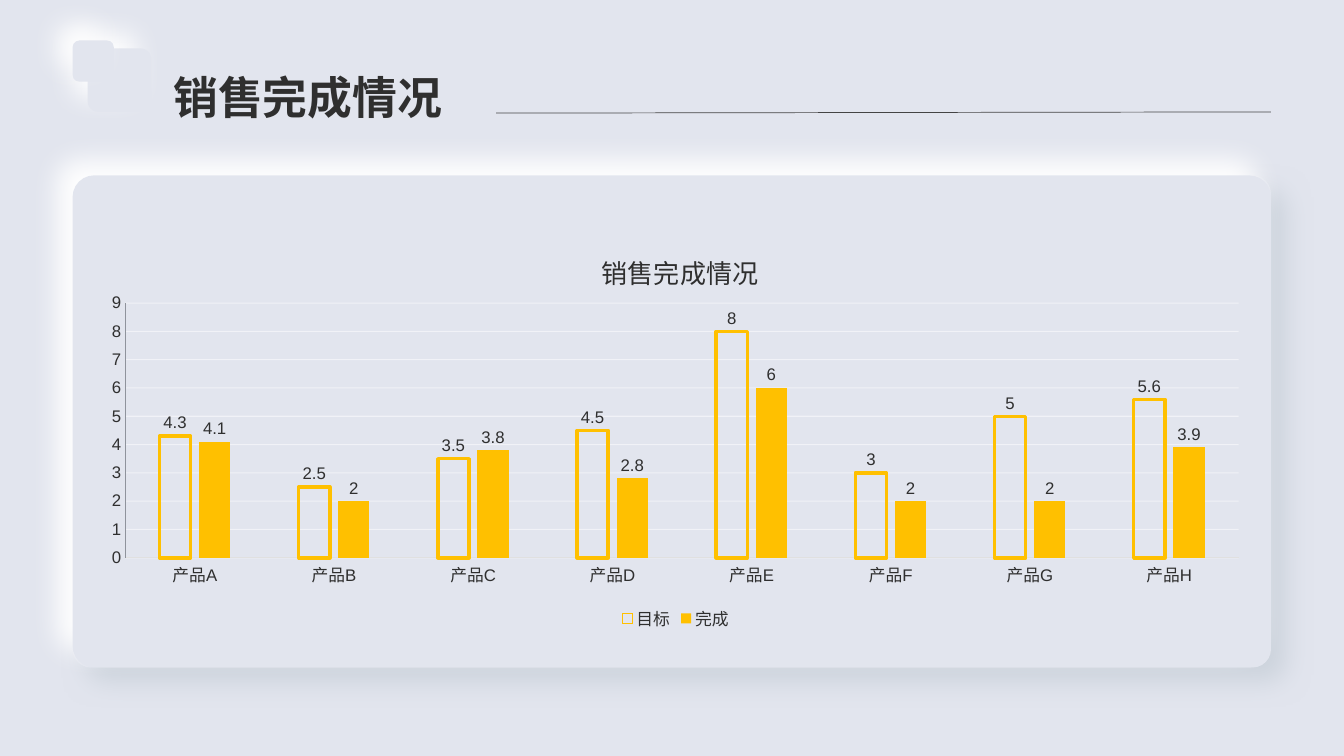
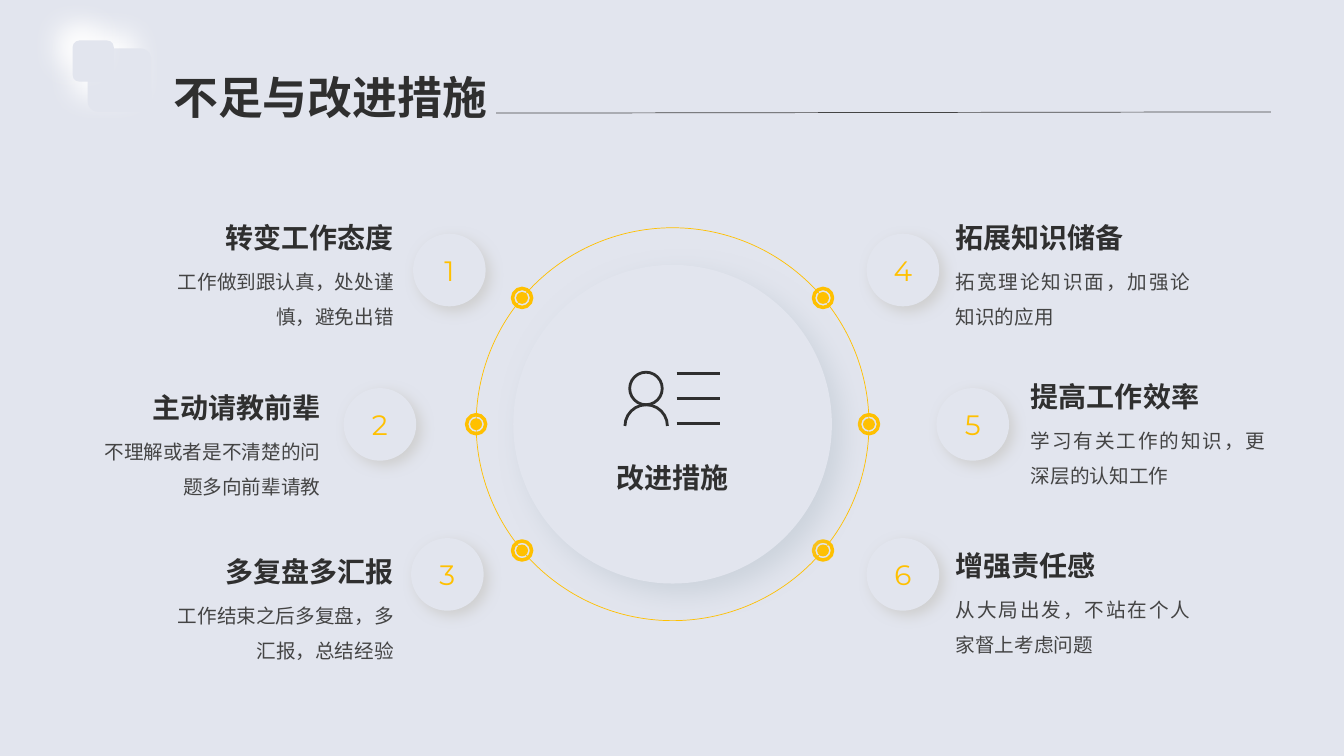
from dataclasses import dataclass
from math import cos, radians, sin

from lxml.etree import SubElement
from pptx import Presentation
from pptx.chart.data import CategoryChartData
from pptx.dml.color import RGBColor
from pptx.enum.chart import XL_CHART_TYPE, XL_LABEL_POSITION, XL_LEGEND_POSITION, XL_TICK_MARK
from pptx.enum.shapes import MSO_CONNECTOR, MSO_SHAPE
from pptx.enum.text import MSO_ANCHOR, PP_ALIGN
from pptx.oxml.ns import qn
from pptx.util import Cm, Pt


@dataclass(frozen=True)
class Theme:
    """Colours, fonts and type sizes of the deck."""

    back: str = "E2E5EE"
    dark: str = "2F2F2F"
    grey: str = "444444"
    gold: str = "FFC000"
    light: str = "FFFFFF"
    shade: str = "CCD3DC"
    dim: str = "D0D0D0"
    axis: str = "8F939C"
    base: str = "E0E0E0"
    hans: str = "Noto Sans CJK SC"
    digit: str = "Montserrat"
    plain: str = "Arial"
    title: float = 32
    head: float = 20
    body: float = 14
    label: float = 12
    chart: float = 18.6


T = Theme()
GOALS = {
    "目标": (4.3, 2.5, 3.5, 4.5, 8, 3, 5, 5.6),
    "完成": (4.1, 2, 3.8, 2.8, 6, 2, 2, 3.9),
}
STEPS = (
    ("转变工作态度", "工作做到跟认真，处处谨慎，避免出错", (10.41, 5.89), (4.01, 5.13)),
    ("主动请教前辈", "不理解或者是不清楚的问题多向前辈请教", (8.66, 9.78), (2.16, 9.42)),
    ("多复盘多汇报", "工作结束之后多复盘，多汇报，总结经验", (10.36, 13.56), (4.01, 13.54)),
    ("拓展知识储备", "拓宽理论知识面，加强论知识的应用", (21.84, 5.89), (24.08, 5.13)),
    ("提高工作效率", "学习有关工作的知识，更深层的认知工作", (23.6, 9.78), (25.98, 9.14)),
    ("增强责任感", "从大局出发，不站在个人家督上考虑问题", (21.84, 13.56), (24.08, 13.39)),
)


def rgb(code):
    """Turn a hex code into a colour."""
    return RGBColor.from_string(code)


def style(font, name, size, color, bold=False):
    """Set the face, size and colour of a font."""
    font.name, font.size, font.bold = name, Pt(size), bold
    font.color.rgb = rgb(color)


def cast(shape, color, blur, dist, angle):
    """Give a shape a soft outer shadow."""
    glow = SubElement(
        shape._element.spPr.find(qn("a:effectLst")), qn("a:outerShdw"),
        blurRad=str(Pt(blur)), dist=str(Pt(dist)), dir=str(angle * 60000),
        algn="ctr", rotWithShape="0")
    SubElement(glow, qn("a:srgbClr"), val=color)


def form(slide, kind, box, fill=None, line=None, width=1, glow=None):
    """Draw one preset shape in a box given in centimetres."""
    shape = slide.shapes.add_shape(kind, *map(Cm, box))
    shape.shadow.inherit = False
    if fill:
        shape.fill.solid()
        shape.fill.fore_color.rgb = rgb(fill)
    else:
        shape.fill.background()
    if line:
        shape.line.color.rgb = rgb(line)
        shape.line.width = Pt(width)
    else:
        shape.line.fill.background()
    if glow:
        cast(shape, *glow)
    return shape


def disc(slide, x, y, size, **look):
    """Draw a circle around a centre."""
    return form(slide, MSO_SHAPE.OVAL, (x - size / 2, y - size / 2, size, size), **look)


def rule(slide, ends, color, width):
    """Draw a straight line."""
    line = slide.shapes.add_connector(MSO_CONNECTOR.STRAIGHT, *map(Cm, ends))
    line.line.color.rgb = rgb(color)
    line.line.width = Pt(width)
    SubElement(line._element.spPr, qn("a:effectLst"))


def write(slide, box, text, size, pitch, color=T.dark, bold=True, align=PP_ALIGN.LEFT):
    """Place a paragraph in a box without insets."""
    frame = slide.shapes.add_textbox(*map(Cm, box)).text_frame
    frame.word_wrap = True
    frame.margin_left = frame.margin_right = frame.margin_top = frame.margin_bottom = 0
    para = frame.paragraphs[0]
    para.text, para.alignment, para.line_spacing = text, align, Pt(pitch)
    style(para.font, T.hans, size, color, bold)
    SubElement(para._p.pPr.find(qn("a:defRPr")), qn("a:ea"), typeface=T.hans)


def header(slide, text, x=1.83, y=1.02):
    """Draw the two tiles, the title and its rule."""
    for dx, dy, size in ((0.38, 0.2, 1.6), (0, 0, 1.04)):
        form(slide, MSO_SHAPE.ROUNDED_RECTANGLE, (x + dx, y + dy, size, size),
             T.back, glow=(T.light, 20, 15, 225))
    rule(slide, (x + 10.67, y + 1.83, x + 30.2, y + 1.8), T.grey, 0.5)
    write(slide, (x + 2.54, y + 0.81, 16.13, 1.27), text, T.title, 36)


def place(node, index, **spots):
    """Pin a chart part at fractions of the chart."""
    for old in node.findall(qn("c:layout")):
        node.remove(old)
    layout = node.makeelement(qn("c:layout"))
    node.insert(index, layout)
    manual = SubElement(layout, qn("c:manualLayout"))
    if "w" in spots and index == 0:
        SubElement(manual, qn("c:layoutTarget"), val="inner")
    for mode in ("xMode", "yMode"):
        SubElement(manual, qn("c:" + mode), val="edge")
    for name, value in spots.items():
        SubElement(manual, qn("c:" + name), val=str(value))


def axes(chart):
    """Style both axes and the grid."""
    for axis, color in ((chart.category_axis, T.base), (chart.value_axis, T.axis)):
        axis.major_tick_mark = axis.minor_tick_mark = XL_TICK_MARK.NONE
        style(axis.tick_labels.font, T.plain, T.label, T.dark)
        axis.format.line.color.rgb = rgb(color)
        axis.format.line.width = Pt(0.75)
    axis.minimum_scale, axis.maximum_scale, axis.major_unit = 0, 9, 1
    axis.has_major_gridlines = True
    grid = axis.major_gridlines.format.line
    grid.color.rgb = rgb(T.light)
    grid.width = Pt(0.75)
    tint = axis.major_gridlines._xAx.find(qn("c:majorGridlines")).find(".//" + qn("a:srgbClr"))
    SubElement(tint, qn("a:alpha"), val="53000")


def bars(chart):
    """Style the outlined and the filled columns."""
    plot = chart.plots[0]
    plot.gap_width, plot.overlap, plot.vary_by_categories = 219, -27, False
    goal, done = plot.series
    goal.format.fill.background()
    goal.format.line.color.rgb = rgb(T.gold)
    goal.format.line.width = Pt(2.5)
    done.format.fill.solid()
    done.format.fill.fore_color.rgb = rgb(T.gold)
    for series in (goal, done):
        series.invert_if_negative = False
        labels = series.data_labels
        labels.show_value = True
        labels.position = XL_LABEL_POSITION.OUTSIDE_END
        style(labels.font, T.plain, T.label, T.dark)


def graph(slide, box, title):
    """Add the column chart of targets and results."""
    data = CategoryChartData()
    data.categories = ["产品" + mark for mark in "ABCDEFGH"]
    for name, values in GOALS.items():
        data.add_series(name, values)
    chart = slide.shapes.add_chart(XL_CHART_TYPE.COLUMN_CLUSTERED, *map(Cm, box), data).chart
    style(chart.font, T.plain, T.label, T.dark)
    axes(chart)
    bars(chart)
    chart.has_title = True
    para = chart.chart_title.text_frame.paragraphs[0]
    para.text = title
    style(para.font, T.plain, T.chart, T.dark)
    chart.has_legend = True
    chart.legend.position = XL_LEGEND_POSITION.BOTTOM
    chart.legend.include_in_layout = False
    style(chart.legend.font, T.plain, T.label, T.dark)
    place(chart._chartSpace.chart.plotArea, 0, x=0.031, y=0.2, w=0.949, h=0.612)
    place(chart.chart_title._element, 1, x=0.433, y=0.06)
    place(chart.legend._element, 1, x=0.45, y=0.93)


def sales(slide, title):
    """Build the slide with the chart panel."""
    header(slide, title)
    x, y, w, h = 1.83, 4.42, 30.2, 12.4
    for bend, color, angle in ((0.037, T.shade, 45), (0.044, T.light, 225)):
        panel = form(slide, MSO_SHAPE.ROUNDED_RECTANGLE, (x, y, w, h), T.back,
                     glow=(color, 20, 15, angle))
        panel.adjustments[0] = bend
    graph(slide, (x + 0.41, y + 1.12, 29.57, 10.49), title)


def icon(slide, x, y):
    """Draw a person beside three lines."""
    pen = dict(line=T.dark, width=2)
    disc(slide, x + 0.53, y + 0.41, 0.82, **pen)
    arc = form(slide, MSO_SHAPE.ARC, (x, y + 0.82, 1.07, 1.07), **pen)
    arc.adjustments[0], arc.adjustments[1] = 108, 0
    for row in range(3):
        level = y + 0.03 + row * 0.63
        rule(slide, (x + 1.3, level, x + 2.4, level), T.dark, 2)


def hub(slide, x, y):
    """Draw the ring with its dots and the core around a centre."""
    reach = 4.95
    disc(slide, x, y, 2 * reach, line=T.gold, width=0.5)
    for angle in (0, 40, 140, 180, 220, 320):
        turn = radians(angle)
        spot = x + reach * cos(turn), y + reach * sin(turn)
        disc(slide, *spot, 0.3, fill=T.gold)
        disc(slide, *spot, 0.48, line=T.gold, width=2.5)
    disc(slide, x, y, 8.03, fill=T.back, glow=(T.shade, 20, 10, 45))
    icon(slide, x - 1.2, y - 1.31)
    write(slide, (x - 2.02, y + 0.5, 4.04, 1.27), "改进措施", T.head, 36, align=PP_ALIGN.CENTER)


def step(slide, number, head, body, spot, corner):
    """Place a numbered badge with its heading and text."""
    badge = form(slide, MSO_SHAPE.OVAL, (*spot, 1.83, 1.83), T.back, glow=(T.dim, 10, 5, 45))
    frame = badge.text_frame
    frame.vertical_anchor = MSO_ANCHOR.MIDDLE
    para = frame.paragraphs[0]
    para.text, para.alignment = str(number), PP_ALIGN.CENTER
    style(para.font, T.digit, T.head, T.gold)
    x, y = corner
    left = x < spot[0]
    write(slide, (x, y, 5.92, 1.27), head, T.head, 36,
          align=PP_ALIGN.RIGHT if left else PP_ALIGN.LEFT)
    write(slide, (x, y + 1.37, 5.92, 1.78), body, T.body, 25.2, T.grey, False,
          PP_ALIGN.RIGHT if left else PP_ALIGN.JUSTIFY)


def plan(slide, title):
    """Build the slide with the six measures."""
    header(slide, title)
    hub(slide, 16.95, 10.69)
    for number, parts in enumerate(STEPS, 1):
        step(slide, number, *parts)


def main():
    """Build and save the deck."""
    deck = Presentation()
    deck.slide_width, deck.slide_height = Cm(33.87), Cm(19.05)
    blank = deck.slide_layouts[6]
    fill = deck.slide_master.background.fill
    fill.solid()
    fill.fore_color.rgb = rgb(T.back)
    for build, title in ((sales, "销售完成情况"), (plan, "不足与改进措施")):
        build(deck.slides.add_slide(blank), title)
    deck.save("out.pptx")


if __name__ == "__main__":
    main()
